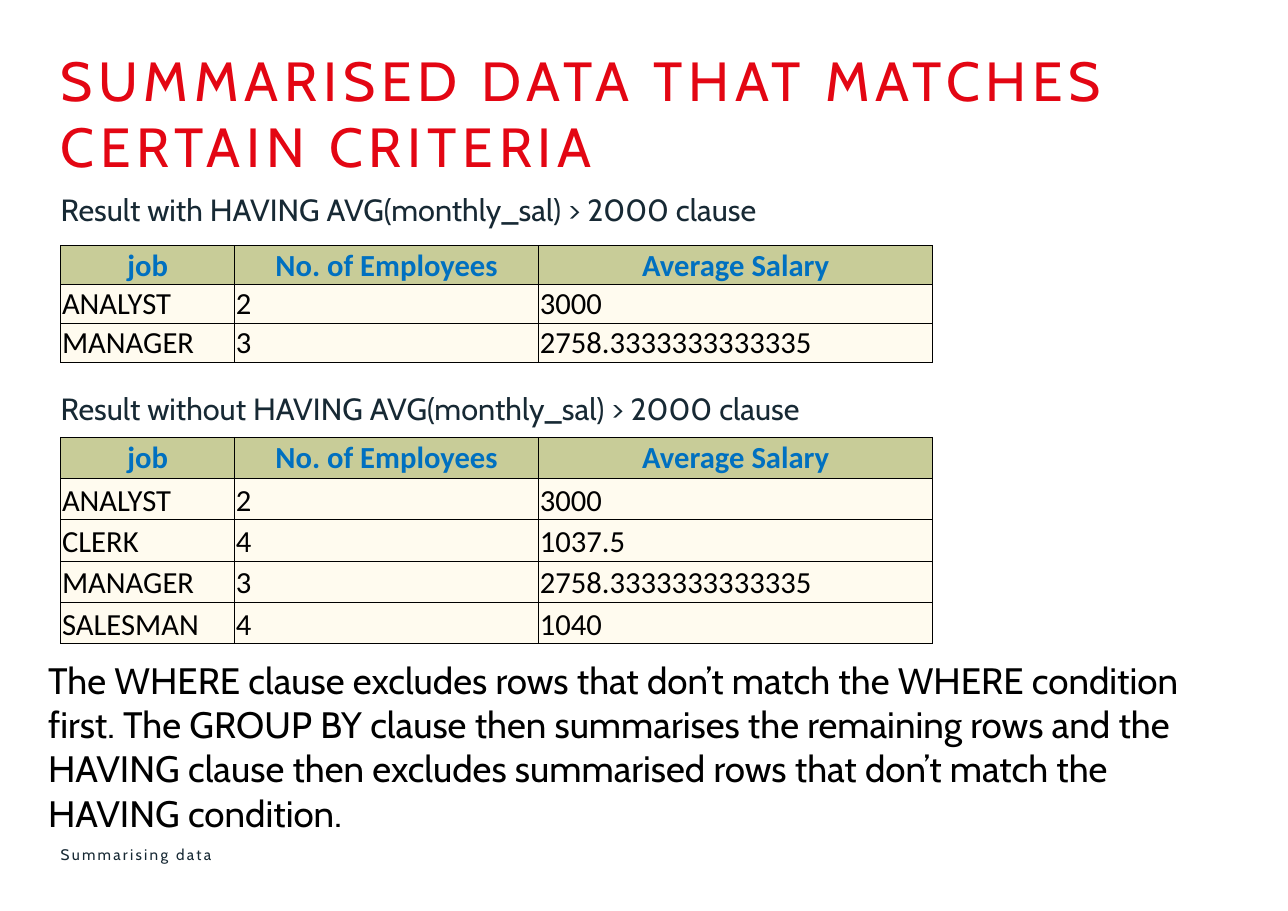
from dataclasses import dataclass

from lxml.etree import SubElement
from pptx import Presentation
from pptx.dml.color import RGBColor
from pptx.enum.text import MSO_ANCHOR, MSO_AUTO_SIZE, PP_ALIGN
from pptx.oxml.ns import qn
from pptx.util import Cm, Pt

TITLE = "SUMMARISED DATA THAT MATCHES CERTAIN CRITERIA"
FOOTER = "Summarising data"
EXPLANATION = (
    "The WHERE clause excludes rows that don’t match the WHERE condition first. "
    "The GROUP BY clause then summarises the remaining rows and the HAVING clause "
    "then excludes summarised rows that don’t match the HAVING condition."
)
HEADER = ("job", "No. of Employees", "Average Salary")
ANALYST = ("ANALYST", "2", "3000")
MANAGER = ("MANAGER", "3", "2758.3333333333335")

# caption, caption top, table top, row height, data rows (cm)
RESULTS = [
    ("Result with HAVING AVG(monthly_sal) > 2000 clause", 4.39, 5.66, 0.86,
     [ANALYST, MANAGER]),
    ("Result without HAVING AVG(monthly_sal) > 2000 clause", 8.99, 10.08, 0.95,
     [ANALYST, ("CLERK", "4", "1037.5"), MANAGER, ("SALESMAN", "4", "1040")]),
]

LEFT = 1.4
COLUMNS = (4.01, 7.01, 9.09)
CELL_MARGIN = 0.03


@dataclass(frozen=True)
class Theme:
    font: str = "Cabin"
    table_font: str = "Calibri"
    title_size: int = 36
    body_size: int = 24
    table_size: int = 20
    footer_size: int = 10
    red: str = "E30613"
    navy: str = "172934"
    blue: str = "0070C0"
    black: str = "000000"
    white: str = "FFFFFF"
    olive: str = "C8CC98"
    cream: str = "FFFBEF"


T = Theme()


def set_font(p, name, size, color, bold=False):
    f = p.font
    f.name, f.size, f.bold = name, Pt(size), bold
    f.color.rgb = RGBColor.from_string(color)


def add_text(s, text, box, size, color, spacing=0, margin=(0, 0),
             anchor=MSO_ANCHOR.TOP):
    """Add a wrapped text box; spacing is letter spacing in points."""
    sp = s.shapes.add_textbox(*(Cm(v) for v in box))
    tf = sp.text_frame
    tf.word_wrap = True
    tf.auto_size = MSO_AUTO_SIZE.NONE
    tf.vertical_anchor = anchor
    tf.margin_left = tf.margin_right = Cm(margin[0])
    tf.margin_top = tf.margin_bottom = Cm(margin[1])
    p = tf.paragraphs[0]
    r = p.add_run()
    r.text = text
    set_font(p, T.font, size, color)
    if spacing:
        r._r.get_or_add_rPr().set("spc", str(round(spacing * 100)))
    return sp


def add_borders(cell):
    tcPr = cell._tc.get_or_add_tcPr()
    for side in ("a:lnL", "a:lnR", "a:lnT", "a:lnB"):
        ln = SubElement(tcPr, qn(side), w=str(Pt(0.5)))
        fill = SubElement(ln, qn("a:solidFill"))
        SubElement(fill, qn("a:srgbClr"), val=T.black)


def fill_cell(cell, text, is_header):
    add_borders(cell)
    cell.fill.solid()
    cell.fill.fore_color.rgb = RGBColor.from_string(T.olive if is_header else T.cream)
    cell.margin_left = cell.margin_right = cell.margin_top = Cm(CELL_MARGIN)
    cell.margin_bottom = 0
    cell.vertical_anchor = MSO_ANCHOR.MIDDLE if is_header else MSO_ANCHOR.BOTTOM
    cell.text = text
    p = cell.text_frame.paragraphs[0]
    p.alignment = PP_ALIGN.CENTER if is_header else PP_ALIGN.LEFT
    set_font(p, T.table_font, T.table_size, T.blue if is_header else T.black, is_header)


def add_result_table(s, top, row_height, data):
    rows = [HEADER, *data]
    table = s.shapes.add_table(
        len(rows), len(COLUMNS), Cm(LEFT), Cm(top),
        Cm(sum(COLUMNS)), Cm(row_height * len(rows))).table
    table.first_row = table.horz_banding = False
    for column, width in zip(table.columns, COLUMNS):
        column.width = Cm(width)
    for i, values in enumerate(rows):
        table.rows[i].height = Cm(row_height)
        for j, text in enumerate(values):
            fill_cell(table.cell(i, j), text, i == 0)


def main():
    prs = Presentation()
    prs.slide_width, prs.slide_height = Cm(29.7), Cm(21)
    s = prs.slides.add_slide(prs.slide_layouts[6])

    add_text(s, TITLE, (LEFT, 1.07, 27.2, 2.87), T.title_size, T.red, spacing=3.8)
    explanation = add_text(s, EXPLANATION, (0.86, 15.04, 27.74, 4.37),
                           T.body_size, T.black, margin=(0.25, 0.13))
    explanation.fill.solid()
    explanation.fill.fore_color.rgb = RGBColor.from_string(T.white)
    add_text(s, FOOTER, (LEFT, 19.41, 18.52, 0.56), T.footer_size, T.navy,
             spacing=1.5, anchor=MSO_ANCHOR.MIDDLE)
    for caption, caption_top, table_top, row_height, data in RESULTS:
        add_text(s, caption, (LEFT, caption_top, 19.76, 0.86), T.table_size, T.navy)
        add_result_table(s, table_top, row_height, data)

    prs.save("out.pptx")


if __name__ == "__main__":
    main()
